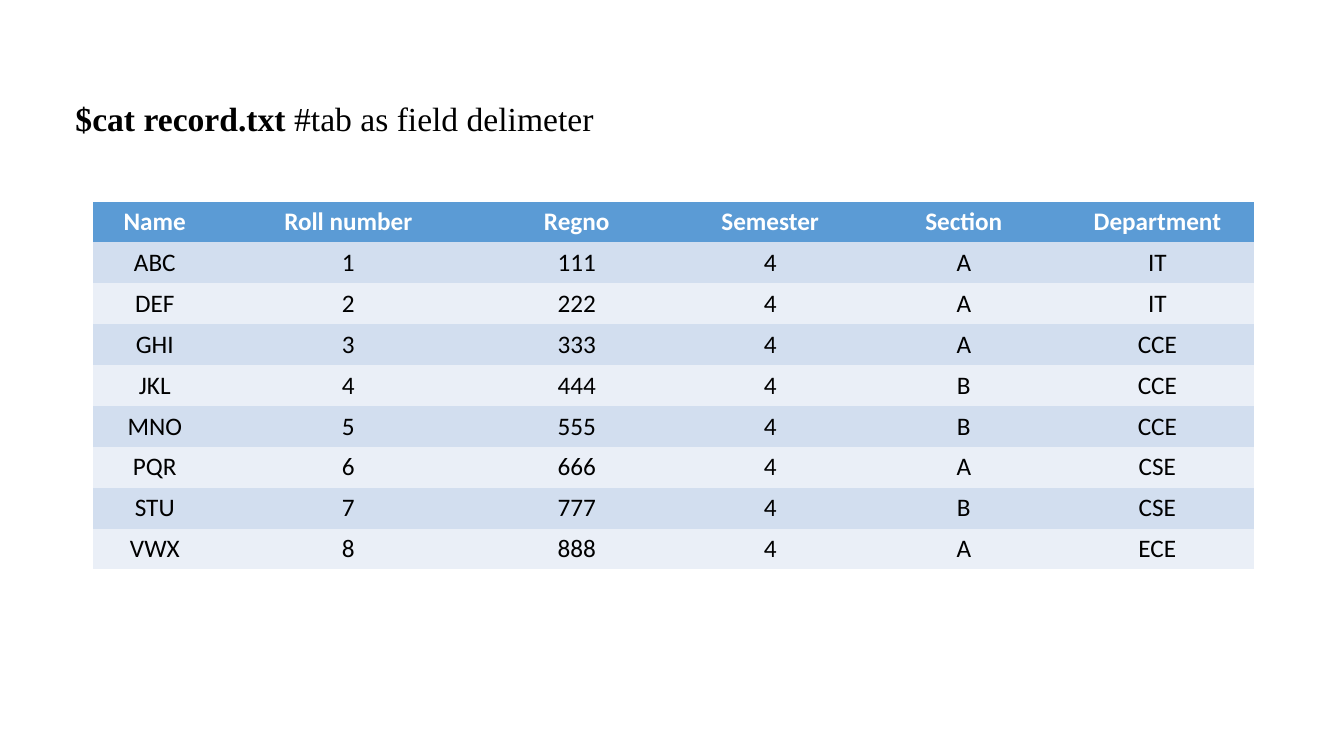
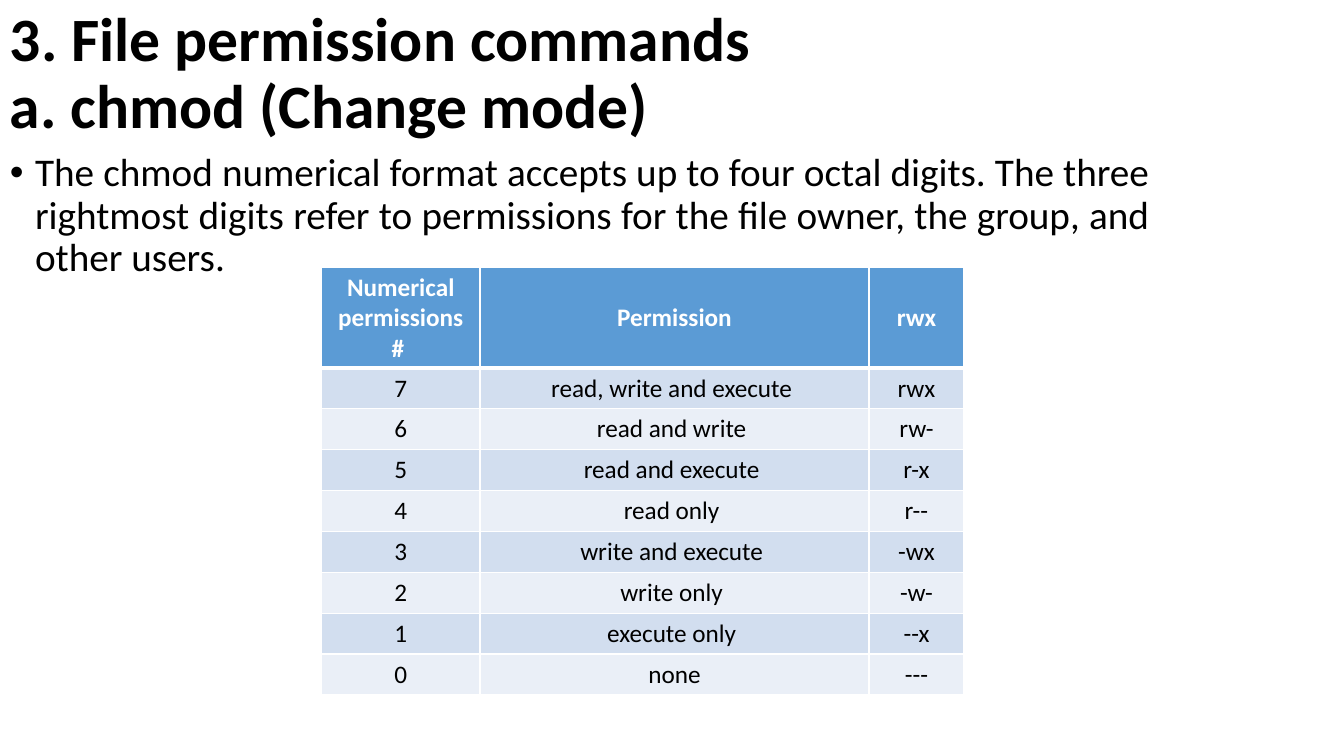
from lxml import etree
from pptx import Presentation
from pptx import util as u
from pptx.dml.color import RGBColor
from pptx.enum import text
from pptx.oxml.ns import qn

BLACK, WHITE, HEAD = "000000", "FFFFFF", "5B9BD5"
BANDS = ("D2DEEF", "EAEFF7")
NO_STYLE = "{2D5ABB26-0587-4C30-8999-92F81FD0307C}"
ROW_H = 3.65 / 9

RECORDS = [
    ("Name", "Roll number", "Regno", "Semester", "Section", "Department"),
    ("ABC", "1", "111", "4", "A", "IT"),
    ("DEF", "2", "222", "4", "A", "IT"),
    ("GHI", "3", "333", "4", "A", "CCE"),
    ("JKL", "4", "444", "4", "B", "CCE"),
    ("MNO", "5", "555", "4", "B", "CCE"),
    ("PQR", "6", "666", "4", "A", "CSE"),
    ("STU", "7", "777", "4", "B", "CSE"),
    ("VWX", "8", "888", "4", "A", "ECE"),
]
PERMISSIONS = [
    ("Numerical permissions\n# ", "Permission", "rwx"),
    ("7", "read, write and execute ", "rwx"),
    ("6", "read and write ", "rw-"),
    ("5", "read and execute ", "r-x"),
    ("4", "read only ", "r--"),
    ("3", "write and execute ", "-wx"),
    ("2", "write only ", "-w-"),
    ("1", "execute only ", "--x"),
    ("0", "none", "---"),
]
COMMAND = [("$cat record.txt ", True), ("#tab as field delimeter", False)]
TITLE = [("3. File permission commands\va. chmod (Change mode)", True)]
BODY = [("The chmod numerical format accepts up to four octal digits. "
         "The three rightmost digits refer to permissions for the file "
         "owner, the group, and other users.", False)]


def rgb(value):
    return RGBColor.from_string(value)


def style(font, color=BLACK, **values):
    for name, value in values.items():
        setattr(font, name, value)
    font.color.rgb = rgb(color)


def add_text(s, box, runs, size, name="Calibri", wrap=True,
             anchor=text.MSO_ANCHOR.TOP, **para):
    tf = s.shapes.add_textbox(*map(u.Inches, box)).text_frame
    tf.word_wrap, tf.vertical_anchor = wrap, anchor
    p = tf.paragraphs[0]
    for key, value in para.items():
        setattr(p, key, value)
    for words, bold in runs:
        p.add_line_break() if words == "\v" else None
        for i, line in enumerate(words.split("\v")):
            if i:
                p.add_line_break()
            r = p.add_run()
            r.text = line
            style(r.font, size=u.Pt(size), name=name, bold=bold)
    return p


def add_bullet(p, indent):
    pPr = p._p.get_or_add_pPr()
    pPr.set("marL", str(u.Inches(indent)))
    pPr.set("indent", str(-u.Inches(indent)))
    etree.SubElement(pPr, qn("a:buFont")).set("typeface", "Arial")
    etree.SubElement(pPr, qn("a:buChar")).set("char", "•")


def add_borders(cell, **widths):
    tcPr = cell._tc.get_or_add_tcPr()
    for side in "LRTB":
        ln = etree.SubElement(tcPr, qn("a:ln" + side),
                              w=str(u.Pt(widths.get(side, 1))))
        fill = etree.SubElement(ln, qn("a:solidFill"))
        etree.SubElement(fill, qn("a:srgbClr")).set("val", WHITE)


def add_table(s, left, top, cols, rows, head_h=ROW_H, borders=False,
              anchor=text.MSO_ANCHOR.TOP):
    heights = [head_h] + [ROW_H] * (len(rows) - 1)
    frame = s.shapes.add_table(len(rows), len(cols), *map(
        u.Inches, (left, top, sum(cols), sum(heights))))
    next(frame._element.iter(qn("a:tableStyleId"))).text = NO_STYLE
    table = frame.table
    for col, width in zip(table.columns, cols):
        col.width = u.Inches(width)
    for i, row in enumerate(rows):
        table.rows[i].height = u.Inches(heights[i])
        for j, words in enumerate(row):
            cell = table.cell(i, j)
            cell.text, cell.vertical_anchor = words, anchor
            if borders:
                add_borders(cell, **{0: {"B": 3}, 1: {"T": 3}}.get(i, {}))
            cell.fill.solid()
            cell.fill.fore_color.rgb = rgb(BANDS[(i - 1) % 2] if i else HEAD)
            for p in cell.text_frame.paragraphs:
                p.alignment = text.PP_ALIGN.CENTER
                style(p.runs[0].font, BLACK if i else WHITE,
                      size=u.Pt(18), name="Calibri", bold=i == 0)


prs = Presentation()
prs.slide_width, prs.slide_height = u.Inches(13.33), u.Inches(7.5)
blank = prs.slide_layouts[6]

s = prs.slides.add_slide(blank)
add_table(s, 0.92, 2, [1.23, 2.61] + [1.92] * 4, RECORDS)
add_text(s, (0.65, 0.92, 5.38, 0.5), COMMAND, 24, "Times New Roman", wrap=False)

s = prs.slides.add_slide(blank)
add_text(s, (0, 0.02, 11.5, 1.45), TITLE, 44,
         anchor=text.MSO_ANCHOR.MIDDLE, line_spacing=0.9)
p = add_text(s, (0, 1.47, 11.5, 4.76), BODY, 28, line_spacing=0.9,
             space_before=u.Pt(10), alignment=text.PP_ALIGN.JUSTIFY)
add_bullet(p, 0.25)
add_table(s, 3.19, 2.65, [1.57, 3.86, 0.94], PERMISSIONS, head_h=1,
          borders=True, anchor=text.MSO_ANCHOR.MIDDLE)

prs.save("out.pptx")
